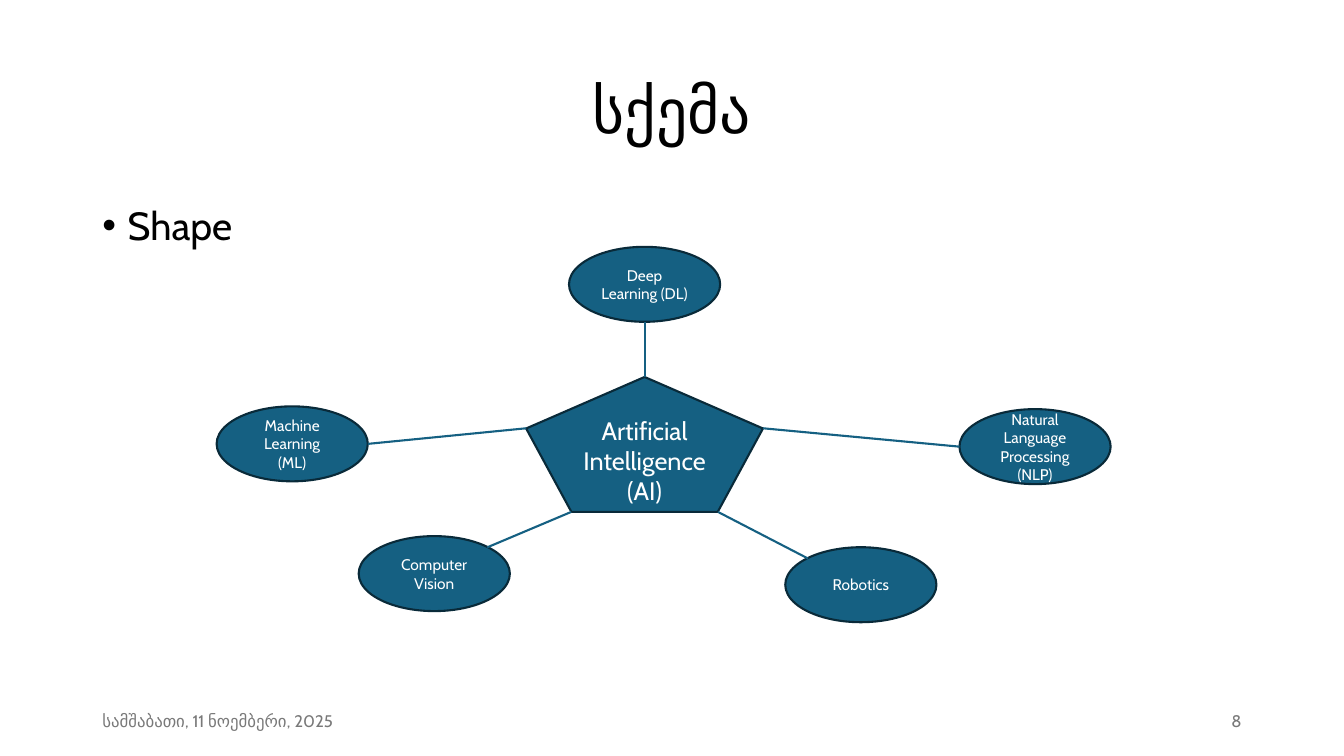
import pptx
import pptx.util
import pptx.dml.color
import pptx.enum.shapes
import pptx.enum.text
import pptx.oxml
import pptx.oxml.ns

Cm = pptx.util.Cm
Pt = pptx.util.Pt
ALIGN = pptx.enum.text.PP_ALIGN
ANCHOR = pptx.enum.text.MSO_ANCHOR
SHAPE = pptx.enum.shapes.MSO_SHAPE

FONT = "Cabin"
COLORS = {
    "fill": "156082",
    "outline": "092A39",
    "text": "000000",
    "light": "FFFFFF",
    "footer": "797979",
}
HUB = (13.26, 9.5, 5.97, 3.4)
NODE_SIZE = (3.81, 1.89)
NODES = [
    ("Machine Learning (ML)", (5.46, 10.24), (1, 0.5), (0, 0.38)),
    ("Deep Learning (DL)", (14.34, 6.22), (0.5, 1), (0.5, 0)),
    ("Natural Language Processing (NLP)", (24.18, 10.31), (0, 0.5), (1, 0.38)),
    ("Computer Vision", (9.04, 13.51), (0.85, 0.15), (0.19, 1)),
    ("Robotics", (19.79, 13.79), (0.15, 0.15), (0.81, 1)),
]


def rgb(name):
    return pptx.dml.color.RGBColor.from_string(COLORS[name])


def write(frame, text, size, color, align, anchor=ANCHOR.MIDDLE):
    frame.word_wrap = True
    frame.vertical_anchor = anchor
    para = frame.paragraphs[0]
    para.alignment = align
    span = para.add_run()
    span.text = text
    span.font.name = FONT
    span.font.size = Pt(size)
    span.font.color.rgb = rgb(color)
    return para


def add_text(page, bounds, *style):
    box = page.shapes.add_textbox(*map(Cm, bounds))
    return write(box.text_frame, *style)


def add_bullet(para):
    properties = para._p.get_or_add_pPr()
    properties.set("marL", str(Cm(0.64)))
    properties.set("indent", str(-Cm(0.64)))
    for tag, key, value in (("a:buFont", "typeface", "Arial"), ("a:buChar", "char", "•")):
        bullet = pptx.oxml.parse_xml(f"<{tag} {pptx.oxml.ns.nsdecls('a')}/>")
        bullet.set(key, value)
        properties.append(bullet)


def add_node(page, kind, bounds, text, size):
    node = page.shapes.add_shape(kind, *map(Cm, bounds))
    node.shadow.inherit = False
    node.fill.solid()
    node.fill.fore_color.rgb = rgb("fill")
    node.line.color.rgb = rgb("outline")
    node.line.width = Pt(1.5)
    write(node.text_frame, text, size, "light", ALIGN.CENTER)


def point_on(bounds, fraction):
    left, top, width, height = bounds
    return Cm(left + width * fraction[0]), Cm(top + height * fraction[1])


def add_link(page, start, end):
    link = page.shapes.add_connector(
        pptx.enum.shapes.MSO_CONNECTOR.STRAIGHT, *start, *end
    )
    link.line.color.rgb = rgb("fill")
    link.line.width = Pt(1.5)
    link._element.spPr.append(
        pptx.oxml.parse_xml(f"<a:effectLst {pptx.oxml.ns.nsdecls('a')}/>")
    )


def main():
    deck = pptx.Presentation()
    deck.slide_width = Cm(33.87)
    deck.slide_height = Cm(19.05)
    page = deck.slides.add_slide(deck.slide_layouts[6])

    title = add_text(page, (2.33, 1.01, 29.21, 3.68), "სქემა", 44, "text", ALIGN.CENTER)
    title.line_spacing = 0.9
    body = add_text(
        page, (2.33, 5.07, 29.21, 12.09), "Shape", 28, "text", ALIGN.LEFT, ANCHOR.TOP
    )
    body.line_spacing = 0.9
    add_bullet(body)

    add_node(page, SHAPE.REGULAR_PENTAGON, HUB, "Artificial Intelligence (AI)", 18)
    for text, corner, node_point, hub_point in NODES:
        bounds = corner + NODE_SIZE
        add_node(page, SHAPE.OVAL, bounds, text, 11)
        add_link(page, point_on(bounds, node_point), point_on(HUB, hub_point))

    for left, text, align in (
        (2.33, "სამშაბათი, 11 ნოემბერი, 2025", ALIGN.LEFT),
        (23.92, "8", ALIGN.RIGHT),
    ):
        add_text(page, (left, 17.66, 7.62, 1.01), text, 12, "footer", align)

    deck.save("out.pptx")


if __name__ == "__main__":
    main()
